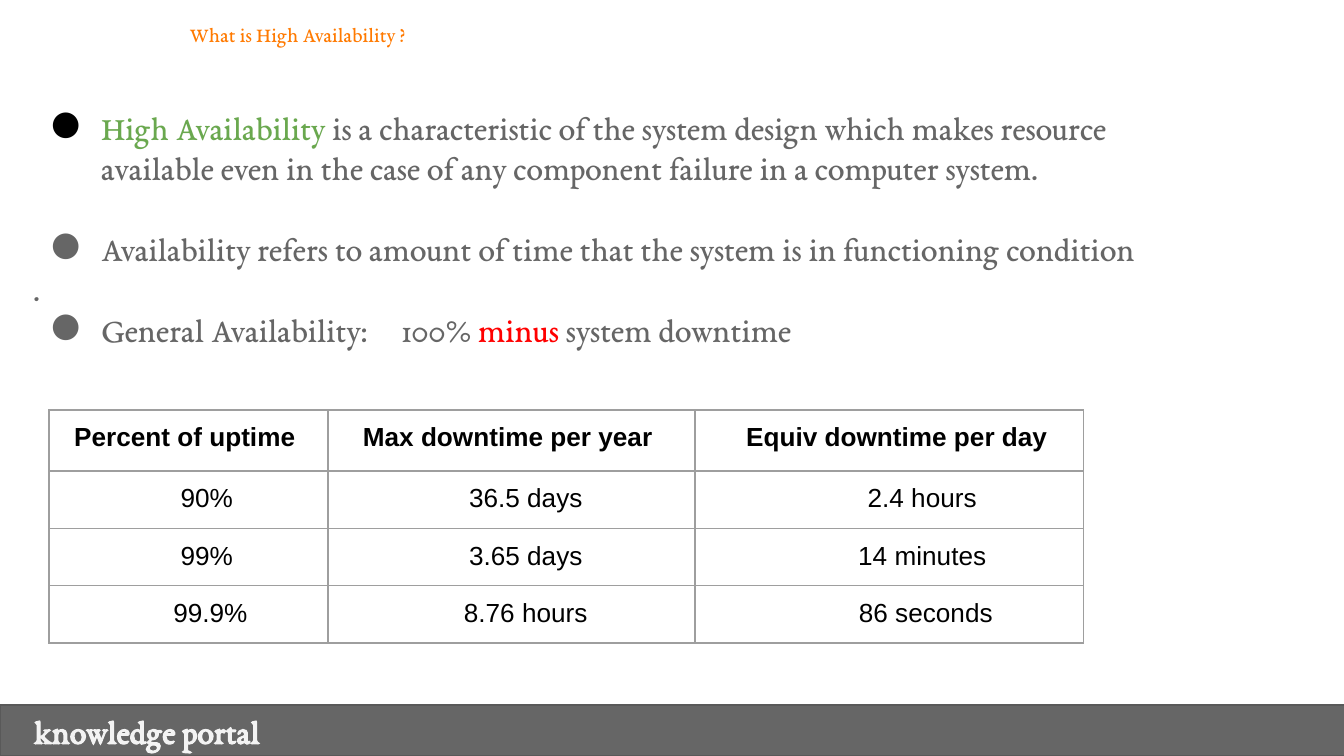
"""Build the High Availability slide with bullets, an uptime table and a footer."""
from dataclasses import dataclass
from typing import Optional

from lxml.etree import SubElement
from pptx import Presentation
from pptx.dml.color import RGBColor
from pptx.enum.shapes import MSO_SHAPE as Shape
from pptx.enum.text import MSO_ANCHOR as Anchor, PP_ALIGN as Align
from pptx.oxml.ns import qn
from pptx.util import Pt

SCALE = 914400 / 134.4
SERIF, SANS = "EB Garamond", "Arial"
GREY, BLACK, GREEN, RED, ORANGE = "666666", "000000", "6AA84F", "FF0000", "FF7A00"
BORDER = "9E9E9E"
INSET = 13
INDENT, HANGING = 68, 50


@dataclass(frozen=True)
class Piece:
    text: str
    color: str = GREY


@dataclass(frozen=True)
class Line:
    pieces: tuple[Piece, ...]
    bullet: Optional[str] = None
    space_before: float = 0
    tab: Optional[int] = None


@dataclass(frozen=True)
class Column:
    width: int
    header_shift: int
    body_shift: int


LINES = (
    Line((Piece("High Availability ", GREEN),
          Piece("is a characteristic of the system design which makes resource "
                "available even in the case of any component failure in a computer system.")),
         BLACK),
    Line((Piece("Availability refers to amount of time that the system is in "
                "functioning condition"),), GREY, 21.6),
    Line((Piece("."),)),
    Line((Piece("General Availability:\t100% "), Piece("minus", RED),
          Piece(" system downtime")), GREY, tab=369),
)
COLUMNS = (Column(279, 0, 44), Column(367, 0, 36), Column(389, 15, 73))
ROW_HEIGHTS = (61, 56, 56, 56)
ROWS = (
    ("Percent of uptime ", "Max downtime per year ", "Equiv downtime per day"),
    ("90% ", "36.5 days ", "2.4 hours "),
    ("99% ", "3.65 days ", "14 minutes "),
    ("99.9%", "8.76 hours ", "86 seconds"),
)


def px(length: int) -> int:
    """Turn pixels into EMU."""
    return round(length * SCALE)


def rgb(color: str) -> RGBColor:
    """Turn a hex string into a colour."""
    return RGBColor.from_string(color)


def style(span, size: float, color: str, font: str = SERIF, bold: bool = False) -> None:
    """Format one run."""
    span.font.size, span.font.name, span.font.bold = Pt(size), font, bold
    span.font.color.rgb = rgb(color)


def set_insets(holder, left: int = INSET) -> None:
    """Set the inner margins of a text frame or a table cell."""
    holder.margin_left = px(left)
    holder.margin_right = holder.margin_top = holder.margin_bottom = px(INSET)


def add_box(page, left: int, top: int, width: int, height: int):
    """Add a wrapping text box and return its text frame."""
    frame = page.shapes.add_textbox(px(left), px(top), px(width), px(height)).text_frame
    frame.word_wrap = True
    set_insets(frame)
    return frame


def add_bullet(para, color: str) -> None:
    """Give a paragraph a hanging round bullet."""
    properties = para._p.get_or_add_pPr()
    properties.set("marL", str(px(INDENT)))
    properties.set("indent", str(-px(HANGING)))
    SubElement(SubElement(properties, qn("a:buClr")), qn("a:srgbClr"), val=color)
    SubElement(properties, qn("a:buFont"), typeface=SERIF)
    SubElement(properties, qn("a:buChar"), char="●")


def add_title(page) -> None:
    """Add the small heading."""
    para = add_box(page, 177, 13, 1110, 51).paragraphs[0]
    para.text = "What is High Availability ?"
    para.line_spacing = 0.9
    style(para.runs[0], 11.2, ORANGE)


def add_lines(page) -> None:
    """Add the bulleted explanation."""
    frame = add_box(page, 20, 94, 1189, 270)
    for index, line in enumerate(LINES):
        para = frame.add_paragraph() if index else frame.paragraphs[0]
        if line.bullet:
            add_bullet(para, line.bullet)
        if line.tab:
            tabs = SubElement(para._p.get_or_add_pPr(), qn("a:tabLst"))
            SubElement(tabs, qn("a:tab"), pos=str(px(line.tab)), algn="l")
        if line.space_before:
            para.space_before = Pt(line.space_before)
        for piece in line.pieces:
            span = para.add_run()
            span.text = piece.text
            style(span, 18, piece.color)


def add_borders(cell) -> None:
    """Draw the four edges of a cell."""
    properties = cell._tc.get_or_add_tcPr()
    for index, edge in enumerate(("lnL", "lnR", "lnT", "lnB")):
        line = properties.makeelement(qn(f"a:{edge}"), {"w": str(Pt(0.75))})
        fill = SubElement(line, qn("a:solidFill"))
        SubElement(fill, qn("a:srgbClr"), val=BORDER)
        properties.insert(index, line)


def add_uptime_table(page) -> None:
    """Add the table of uptime and downtime."""
    width = sum(column.width for column in COLUMNS)
    table = page.shapes.add_table(len(ROWS), len(COLUMNS), px(49), px(410),
                                  px(width), px(sum(ROW_HEIGHTS))).table
    table.first_row = table.horz_banding = False
    for index, column in enumerate(COLUMNS):
        table.columns[index].width = px(column.width)
    for row, (height, texts) in enumerate(zip(ROW_HEIGHTS, ROWS)):
        table.rows[row].height = px(height)
        for index, (column, text) in enumerate(zip(COLUMNS, texts)):
            cell = table.cell(row, index)
            set_insets(cell, INSET + (column.body_shift if row else column.header_shift))
            cell.fill.background()
            add_borders(cell)
            para = cell.text_frame.paragraphs[0]
            para.text = text
            para.alignment = Align.CENTER
            style(para.runs[0], 14, BLACK, SANS, bold=row == 0)


def add_footer(page) -> None:
    """Add the grey strip with the portal name."""
    strip = page.shapes.add_shape(Shape.RECTANGLE, 0, px(705), px(1346), px(51))
    strip.shadow.inherit = False
    strip.fill.solid()
    strip.fill.fore_color.rgb = rgb(GREY)
    strip.line.color.rgb = rgb("595959")
    strip.line.width = Pt(0.75)
    frame = strip.text_frame
    set_insets(frame, 34)
    frame.vertical_anchor = Anchor.MIDDLE
    para = frame.paragraphs[0]
    para.text = "knowledge portal"
    para.alignment = Align.LEFT
    style(para.runs[0], 18, "F3F3F3", bold=True)


def main() -> None:
    """Build and save the deck."""
    deck = Presentation()
    deck.slide_width, deck.slide_height = px(1344), px(756)
    page = deck.slides.add_slide(deck.slide_layouts[6])
    add_footer(page)
    add_title(page)
    add_lines(page)
    add_uptime_table(page)
    deck.save("out.pptx")


if __name__ == "__main__":
    main()
